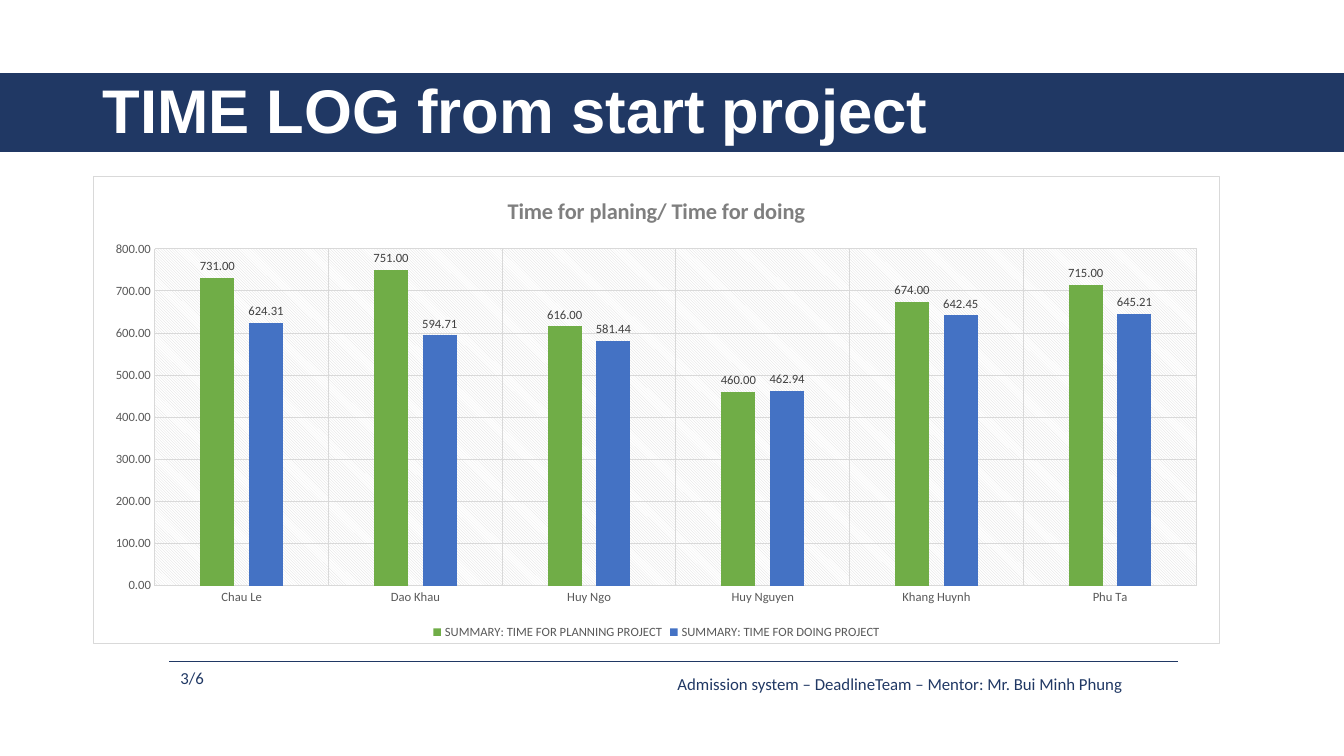
import dataclasses
import lxml.etree
import pptx
import pptx.chart.data
import pptx.dml.color
import pptx.enum.chart
import pptx.enum.shapes
import pptx.enum.text
import pptx.oxml.ns
import pptx.util

Inches = pptx.util.Inches
Pt = pptx.util.Pt
qn = pptx.oxml.ns.qn

NAVY, WHITE, GRID, GREY = "203864", "FFFFFF", "D9D9D9", "595959"
NAMES = ["Chau Le", "Dao Khau", "Huy Ngo", "Huy Nguyen", "Khang Huynh", "Phu Ta"]
SPACES = ('xmlns:c="http://schemas.openxmlformats.org/drawingml/2006/chart" '
          'xmlns:a="http://schemas.openxmlformats.org/drawingml/2006/main"')


@dataclasses.dataclass
class Note:
    text: str
    left: float
    top: float
    width: float


@dataclasses.dataclass
class Series:
    name: str
    hours: list[float]
    color: str


NOTES = [
    Note("Admission system – DeadlineTeam – Mentor: Mr. Bui Minh Phung", 6.62, 6.63, 5.08),
    Note("3/6", 1.69, 6.58, 0.51),
]
SERIES = [
    Series("SUMMARY: TIME FOR PLANNING PROJECT",
           [731, 751, 616, 460, 674, 715], "70AD47"),
    Series("SUMMARY: TIME FOR DOING PROJECT",
           [624.31, 594.71, 581.44, 462.94, 642.45, 645.21], "4472C4"),
]


def rgb(color: str) -> pptx.dml.color.RGBColor:
    return pptx.dml.color.RGBColor.from_string(color)


def style(font, size: float, color: str, bold: bool = False, face: str = "Calibri") -> None:
    font.name, font.size, font.bold = face, Pt(size), bold
    font.color.rgb = rgb(color)


def stroke(line, color: str, width: float) -> None:
    line.color.rgb = rgb(color)
    line.width = Pt(width)


def look(fill: str, line: str = "") -> lxml.etree._Element:
    """Make chart shape properties from fill and line markup."""
    return lxml.etree.fromstring(f"<c:spPr {SPACES}>{fill}{line}</c:spPr>")


def solid(color: str) -> str:
    return f'<a:solidFill><a:srgbClr val="{color}"/></a:solidFill>'


def add_note(slide, note: Note) -> None:
    box = slide.shapes.add_textbox(
        Inches(note.left), Inches(note.top), Inches(note.width), Inches(0.3))
    box.text_frame.word_wrap = True
    run = box.text_frame.paragraphs[0].add_run()
    run.text = note.text
    style(run.font, 12, NAVY)


def add_head(slide) -> None:
    band = slide.shapes.add_shape(
        pptx.enum.shapes.MSO_SHAPE.RECTANGLE,
        Inches(0), Inches(0.73), Inches(13.33), Inches(0.77))
    band.shadow.inherit = False
    band.fill.solid()
    band.fill.fore_color.rgb = rgb(NAVY)
    stroke(band.line, NAVY, 1)

    title = slide.shapes.title
    title.left, title.top = Inches(0.92), Inches(0.4)
    title.width, title.height = Inches(11.5), Inches(1.45)
    title.element.addprevious(band.element)
    frame = title.text_frame
    frame.auto_size = pptx.enum.text.MSO_AUTO_SIZE.NONE
    frame.vertical_anchor = pptx.enum.text.MSO_ANCHOR.MIDDLE
    para = frame.paragraphs[0]
    para.alignment = pptx.enum.text.PP_ALIGN.LEFT
    para.line_spacing = 0.9
    run = para.add_run()
    run.text = "TIME LOG from start project"
    style(run.font, 44, WHITE, True, "Arial")


def add_foot(slide) -> None:
    rule = slide.shapes.add_connector(
        pptx.enum.shapes.MSO_CONNECTOR.STRAIGHT,
        Inches(1.68), Inches(6.56), Inches(11.68), Inches(6.56))
    stroke(rule.line, NAVY, 0.5)
    lxml.etree.SubElement(rule.element.spPr, qn("a:effectLst"))
    for note in NOTES:
        add_note(slide, note)


def add_bars(slide) -> None:
    data = pptx.chart.data.CategoryChartData(number_format="0.00")
    data.categories = NAMES
    for item in SERIES:
        data.add_series(item.name, item.hours)
    chart = slide.shapes.add_chart(
        pptx.enum.chart.XL_CHART_TYPE.COLUMN_CLUSTERED,
        Inches(0.92), Inches(1.75), Inches(11.18), Inches(4.64), data).chart
    style(chart.font, 10, "000000")

    # Title and legend
    chart.has_title = True
    run = chart.chart_title.text_frame.paragraphs[0].add_run()
    run.text = "Time for planing/ Time for doing"
    style(run.font, 16, "7F7F7F", True)
    chart.has_legend = True
    chart.legend.position = pptx.enum.chart.XL_LEGEND_POSITION.BOTTOM
    chart.legend.include_in_layout = False
    style(chart.legend.font, 9, GREY)

    # Axes
    for axis in (chart.category_axis, chart.value_axis):
        axis.major_tick_mark = pptx.enum.chart.XL_TICK_MARK.NONE
        axis.minor_tick_mark = pptx.enum.chart.XL_TICK_MARK.NONE
        axis.has_major_gridlines = True
        stroke(axis.major_gridlines.format.line, GRID, 0.75)
        style(axis.tick_labels.font, 9, GREY)
    stroke(chart.category_axis.format.line, GRID, 0.75)
    scale = chart.value_axis
    scale.format.line.fill.background()
    scale.minimum_scale, scale.maximum_scale, scale.major_unit = 0, 800, 100
    scale.tick_labels.number_format = "0.00"
    scale.tick_labels.number_format_is_linked = False

    # Bars and values
    plot = chart.plots[0]
    plot.vary_by_categories = False
    plot.gap_width, plot.overlap = 267, -43
    for bars, item in zip(plot.series, SERIES):
        bars.format.fill.solid()
        bars.format.fill.fore_color.rgb = rgb(item.color)
        labels = bars.data_labels
        labels.show_value = True
        labels.position = pptx.enum.chart.XL_LABEL_POSITION.OUTSIDE_END
        labels.number_format = "0.00"
        labels.number_format_is_linked = False
        style(labels.font, 9, "404040")

    # Frame and hatched plot area
    root = chart.element
    border = f'<a:ln w="{Pt(0.75)}">{solid(GRID)}</a:ln>'
    root.find(qn("c:txPr")).addprevious(look(solid(WHITE), border))
    hatch = ('<a:pattFill prst="ltDnDiag">'
             f'<a:fgClr><a:srgbClr val="{GRID}"/></a:fgClr>'
             f'<a:bgClr><a:srgbClr val="{WHITE}"/></a:bgClr></a:pattFill>')
    area = root.find(f"{qn('c:chart')}/{qn('c:plotArea')}")
    area.append(look(hatch, "<a:ln><a:noFill/></a:ln>"))


def main() -> None:
    deck = pptx.Presentation()
    deck.slide_width, deck.slide_height = Inches(13.33), Inches(7.5)
    slide = deck.slides.add_slide(deck.slide_layouts[5])
    add_head(slide)
    add_foot(slide)
    add_bars(slide)
    deck.save("out.pptx")


if __name__ == "__main__":
    main()
